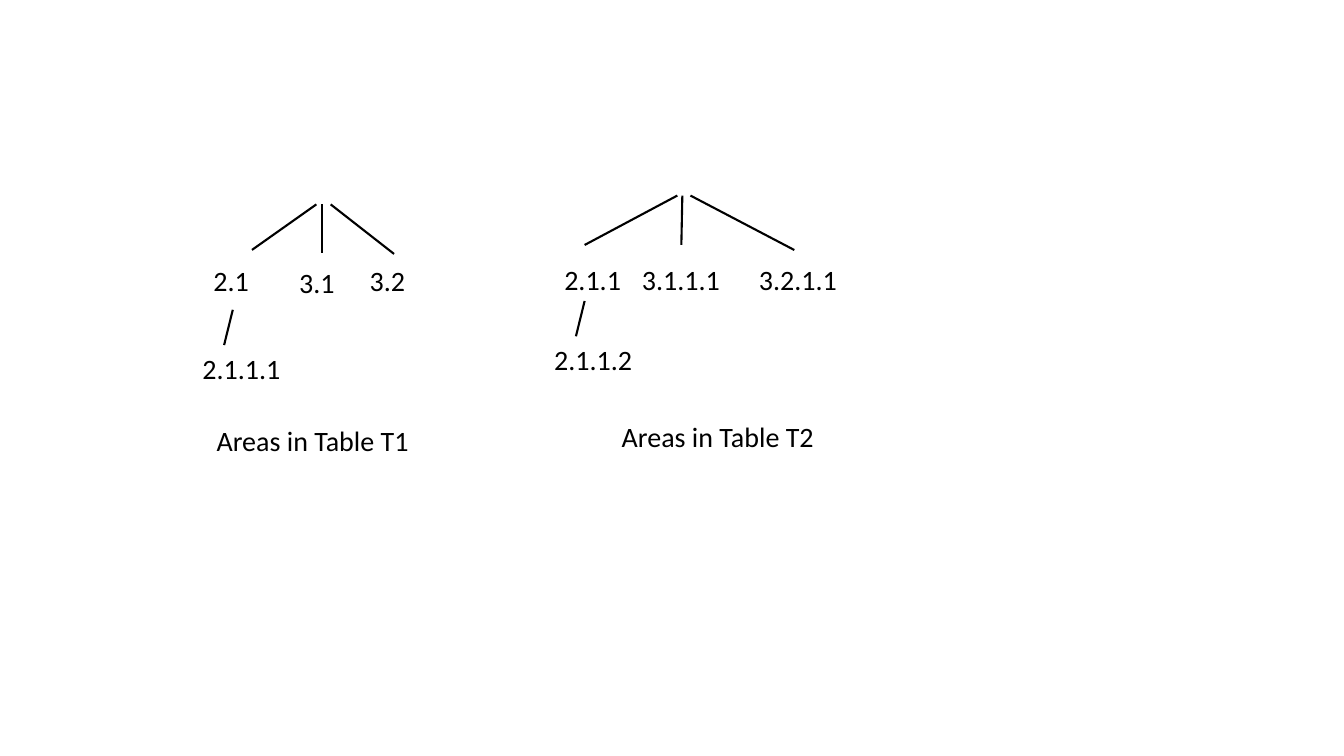
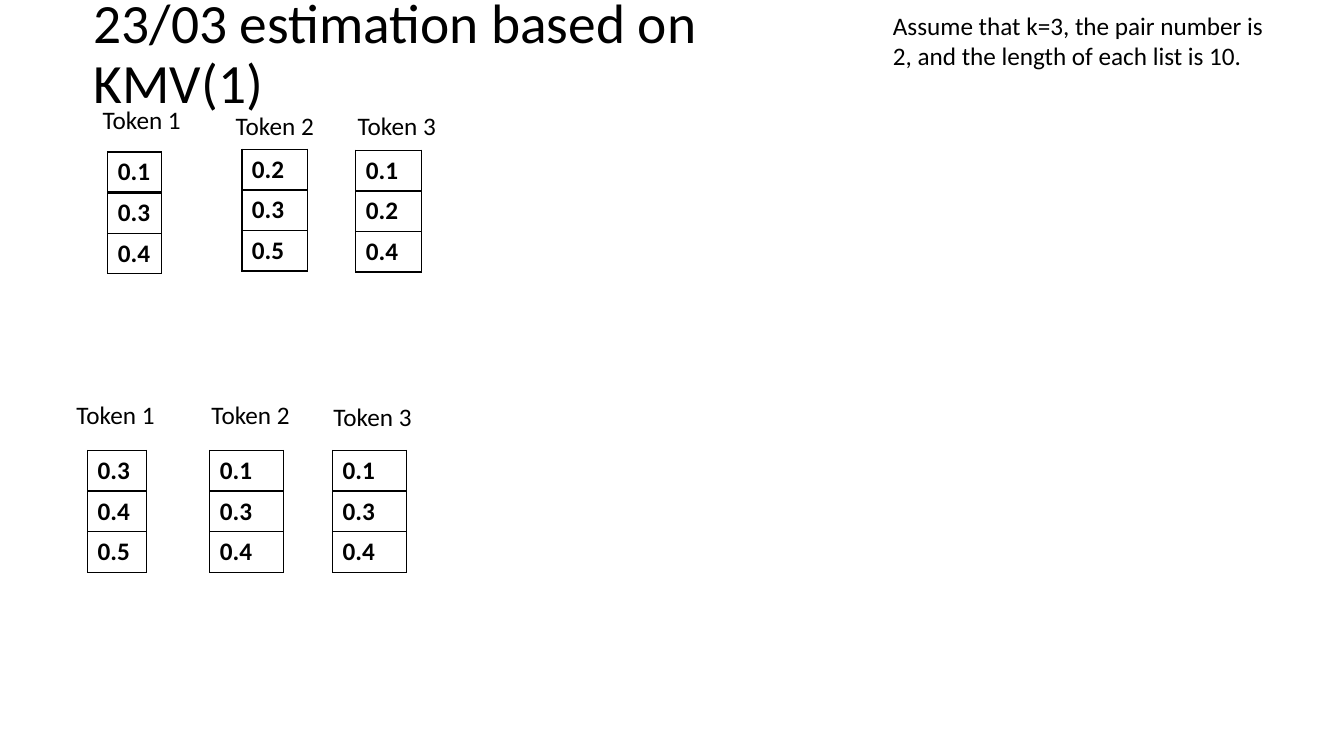
from dataclasses import dataclass

from lxml import etree
from pptx import Presentation
from pptx.dml.color import RGBColor
from pptx.enum.shapes import MSO_CONNECTOR
from pptx.enum.text import MSO_ANCHOR
from pptx.oxml.ns import qn
from pptx.util import Pt

STRAIGHT = MSO_CONNECTOR.STRAIGHT
TOP, MIDDLE = MSO_ANCHOR.TOP, MSO_ANCHOR.MIDDLE


@dataclass(frozen=True)
class Theme:
    """Colours, font, type sizes and line widths of the deck."""
    ink: RGBColor = RGBColor(0, 0, 0)
    font: str = "Calibri"
    title: float = 39.6
    node: float = 20
    body: float = 18
    branch: float = 1.5
    rule: float = 1
    head_rule: float = 2


THEME = Theme()


def style(p, size, bold=False):
    """Format every run of a paragraph."""
    for r in p.runs:
        r.font.name = THEME.font
        r.font.size = Pt(size)
        r.font.bold = bold
        r.font.color.rgb = THEME.ink


def add_text(s, box, text, size, anchor=TOP, spacing=None):
    """Add a wrapped text box at (left, top, width, height)."""
    tf = s.shapes.add_textbox(*map(Pt, box)).text_frame
    tf.word_wrap = True
    tf.vertical_anchor = anchor
    tf.text = text
    p = tf.paragraphs[0]
    p.line_spacing = spacing
    style(p, size)


def add_line(s, x1, y1, x2, y2):
    """Draw one tree branch."""
    line = s.shapes.add_connector(STRAIGHT, Pt(x1), Pt(y1), Pt(x2), Pt(y2))
    line.line.color.rgb = THEME.ink
    line.line.width = Pt(THEME.branch)
    etree.SubElement(line._element.spPr, qn("a:effectLst"))


def add_tree(s, left, top, branches, child, caption, caption_at):
    """Draw a root with branches, a child under the first one and a caption."""
    for (start, end, drop), (dx, dy, width), label in branches:
        add_line(s, left + start, top, left + end, top + drop)
        add_text(s, (left + dx, top + dy, width, 31.5), label, THEME.node)
    add_line(s, left + 28.8, top + 75.3, left + 22.6, top + 100.5)
    add_text(s, (left, top + 101.2, 76.3, 31.5), child, THEME.node)
    dx, dy = caption_at
    add_text(s, (left + dx, top + dy, 164.2, 31.5), caption, THEME.node)


def set_borders(cell, top, bottom):
    """Give a cell solid borders on its four sides."""
    tc_pr = cell._tc.get_or_add_tcPr()
    widths = {"lnL": THEME.rule, "lnR": THEME.rule, "lnT": top, "lnB": bottom}
    for i, (side, width) in enumerate(widths.items()):
        ln = etree.Element(qn(f"a:{side}"), w=str(Pt(width)))
        fill = etree.SubElement(ln, qn("a:solidFill"))
        etree.SubElement(fill, qn("a:srgbClr"), val=str(THEME.ink))
        tc_pr.insert(i, ln)


def add_token(s, name, name_at, box, values):
    """Add a token name and its one-column list at (left, top, width)."""
    add_text(s, (*name_at, 117.4, 29), name, THEME.body)
    left, top, width = box
    row_height = 29
    table = s.shapes.add_table(len(values), 1, Pt(left), Pt(top), Pt(width),
                               Pt(row_height * len(values))).table
    table.first_row = table.horz_banding = False
    for i, value in enumerate(values):
        cell = table.cell(i, 0)
        cell.text = value
        cell.fill.background()
        style(cell.text_frame.paragraphs[0], THEME.body, bold=True)
        set_borders(cell, THEME.head_rule if i == 1 else THEME.rule,
                    THEME.head_rule if i == 0 else THEME.rule)


def build_areas(s):
    """Build the slide with the two area trees."""
    add_tree(s, 137.5, 146, [
        ((88.5, 42.5, 32.5), (7.9, 38.3, 57.6), "2.1"),
        ((92.2, 92.2, 34.7), (69.1, 39.8, 57.6), "3.1"),
        ((98.7, 144, 35.4), (119.5, 38.3, 57.6), "3.2"),
    ], "2.1.1.1", "Areas in Table T1", (10.1, 152.8))
    add_tree(s, 388.8, 139.7, [
        ((95, 28.8, 35.3), (7.2, 43.9, 57.6), "2.1.1"),
        ((98.6, 97.9, 35.3), (62.6, 43.9, 73.4), "3.1.1.1"),
        ((104.4, 178.6, 38.9), (146.2, 43.9, 80), "3.2.1.1"),
    ], "2.1.1.2", "Areas in Table T2", (48.2, 156.3))


def build_estimation(s):
    """Build the slide with two rows of token lists."""
    add_text(s, (59.8, 3.6, 565.2, 72), "23/03 estimation based on KMV(1)",
             THEME.title, MIDDLE, 0.9)
    add_text(s, (630.7, 3.6, 287.3, 51), "Assume that k=3, the pair number is "
             "2, and the length of each list is 10.", THEME.body)
    rows = [
        [((66.2, 71.3), (77, 108.5, 38.5), ("0.1", "0.3", "0.4")),
         ((161.3, 74.9), (172.8, 106.6, 46.8), ("0.2", "0.3", "0.5")),
         ((248.4, 74.9), (254.2, 107.3, 46.8), ("0.1", "0.2", "0.4"))],
        [((47.5, 281.5), (62.6, 321.8, 41.8), ("0.3", "0.4", "0.5")),
         ((144, 281.5), (149.8, 321.8, 52.6), ("0.1", "0.3", "0.4")),
         ((231.1, 283), (237.6, 321.8, 52.6), ("0.1", "0.3", "0.4"))],
    ]
    for row in rows:
        for number, (name_at, box, values) in enumerate(row, 1):
            add_token(s, f"Token {number}", name_at, box, values)


def main():
    """Build and save the deck."""
    prs = Presentation()
    prs.slide_width, prs.slide_height = Pt(960), Pt(540)
    blank = prs.slide_layouts[6]
    for build in (build_areas, build_estimation):
        build(prs.slides.add_slide(blank))
    prs.save("out.pptx")


main()
